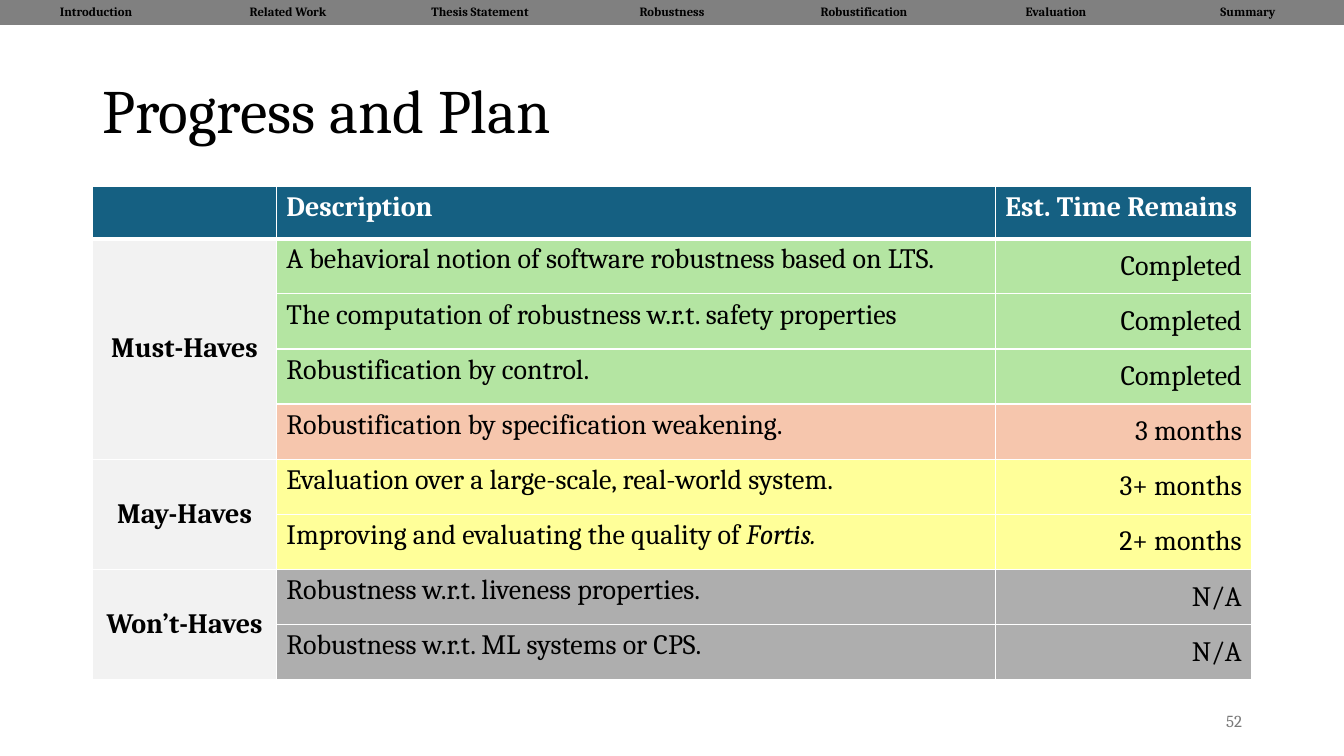
import pptx
import pptx.util
import pptx.dml.color
import pptx.enum.text
import pptx.oxml
import pptx.oxml.ns

Pt = pptx.util.Pt
ALIGN = pptx.enum.text.PP_ALIGN
ANCHOR = pptx.enum.text.MSO_ANCHOR
FONT = "Cambria"
COLORS = {
    "white": "FFFFFF", "black": "000000", "nav": "808080", "number": "797979",
    "header": "156082", "group": "F2F2F2", "done": "B4E5A2",
    "ongoing": "F6C6AD", "optional": "FFFF99", "excluded": "AEAEAE",
}
SECTIONS = ["Introduction", "Related Work", "Thesis Statement", "Robustness",
            "Robustification", "Evaluation", "Summary"]
HEADINGS = ["", "Description", "Est. Time Remains"]
GROUPS = [
    ("Must-Haves", [
        (["A behavioral notion of software robustness based on LTS."], "Completed", "done"),
        (["The computation of robustness w.r.t. safety properties"], "Completed", "done"),
        (["Robustification by control."], "Completed", "done"),
        (["Robustification by specification weakening."], "3 months", "ongoing"),
    ]),
    ("May-Haves", [
        (["Evaluation over a large-scale, real-world system."], "3+ months", "optional"),
        (["Improving and evaluating the quality of ", "Fortis."], "2+ months", "optional"),
    ]),
    ("Won’t-Haves", [
        (["Robustness w.r.t. liveness properties."], "N/A", "excluded"),
        (["Robustness w.r.t. ML systems or CPS."], "N/A", "excluded"),
    ]),
]
WIDTH, HEIGHT = 960, 540
LEFT, TABLE_TOP = 66.24, 133.2
COL_WIDTHS = [131.2, 513.6, 183.2]
HEADER_HEIGHT, ROW_HEIGHT, NAV_HEIGHT = 37.3, 39.4, 18


def rgb(name):
    return pptx.dml.color.RGBColor.from_string(COLORS[name])


def write(tf, texts, size, color="black", bold=False, align=ALIGN.LEFT):
    p = tf.paragraphs[0]
    p.alignment = align
    p.font.size = Pt(size)
    for i, text in enumerate(texts):
        r = p.add_run()
        r.text = text
        r.font.name = FONT
        r.font.size = Pt(size)
        r.font.bold = bold
        r.font.italic = i > 0
        r.font.color.rgb = rgb(color)
    return p


def add_text(s, box, text, size, color="black", align=ALIGN.LEFT):
    sp = s.shapes.add_textbox(*map(Pt, box))
    tf = sp.text_frame
    tf.word_wrap = True
    tf.vertical_anchor = ANCHOR.MIDDLE
    return write(tf, [text], size, color, align=align)


def add_grid(s, left, top, widths, heights):
    sp = s.shapes.add_table(len(heights), len(widths), Pt(left), Pt(top),
                            Pt(sum(widths)), Pt(sum(heights)))
    table = sp.table
    for column, width in zip(table.columns, widths):
        column.width = Pt(width)
    for row, height in zip(table.rows, heights):
        row.height = Pt(height)
    return table


def style_cell(cell, fill, line=None, top=1, bottom=1):
    cell.fill.solid()
    cell.fill.fore_color.rgb = rgb(fill)
    paint = f'<a:solidFill><a:srgbClr val="{COLORS[line]}"/></a:solidFill>' if line else "<a:noFill/>"
    sides = [("L", 1), ("R", 1), ("T", top), ("B", bottom)]
    for i, (side, width) in enumerate(sides):
        xml = f'<a:ln{side} {pptx.oxml.ns.nsdecls("a")} w="{Pt(width)}">{paint}</a:ln{side}>'
        cell._tc.get_or_add_tcPr().insert(i, pptx.oxml.parse_xml(xml))


def add_plan(s):
    count = sum(len(tasks) for _, tasks in GROUPS)
    table = add_grid(s, LEFT, TABLE_TOP, COL_WIDTHS, [HEADER_HEIGHT] + [ROW_HEIGHT] * count)
    for col, heading in enumerate(HEADINGS):
        cell = table.cell(0, col)
        style_cell(cell, "header", "white", bottom=3)
        if heading:
            write(cell.text_frame, [heading], 20, "white", True)
    row = 1
    for group, tasks in GROUPS:
        first = table.cell(row, 0)
        first.merge(table.cell(row + len(tasks) - 1, 0))
        first.vertical_anchor = ANCHOR.MIDDLE
        write(first.text_frame, [group], 20, bold=True, align=ALIGN.CENTER)
        for description, remaining, status in tasks:
            for col, fill in enumerate(["group", status, status]):
                style_cell(table.cell(row, col), fill, "white", top=3 if row == 1 else 1)
            write(table.cell(row, 1).text_frame, description, 20)
            time = table.cell(row, 2)
            time.vertical_anchor = ANCHOR.MIDDLE
            write(time.text_frame, [remaining], 20, align=ALIGN.RIGHT)
            row += 1


def add_navigation(s):
    count = len(SECTIONS)
    table = add_grid(s, 0, 0, [WIDTH / count] * count, [NAV_HEIGHT])
    for col, section in enumerate(SECTIONS):
        cell = table.cell(0, col)
        style_cell(cell, "nav")
        cell.margin_top = cell.margin_bottom = Pt(2)
        cell.vertical_anchor = ANCHOR.MIDDLE
        write(cell.text_frame, [section], 9, bold=True, align=ALIGN.CENTER)


def main():
    prs = pptx.Presentation()
    prs.slide_width, prs.slide_height = Pt(WIDTH), Pt(HEIGHT)
    s = prs.slides.add_slide(prs.slide_layouts[6])
    title = add_text(s, (LEFT, 28.8, 828, 104.4), "Progress and Plan", 44)
    title.line_spacing = 0.9
    add_plan(s)
    add_text(s, (678.24, 500.4, 216, 28.8), "52", 12, "number", ALIGN.RIGHT)
    add_navigation(s)
    prs.save("out.pptx")


if __name__ == "__main__":
    main()
